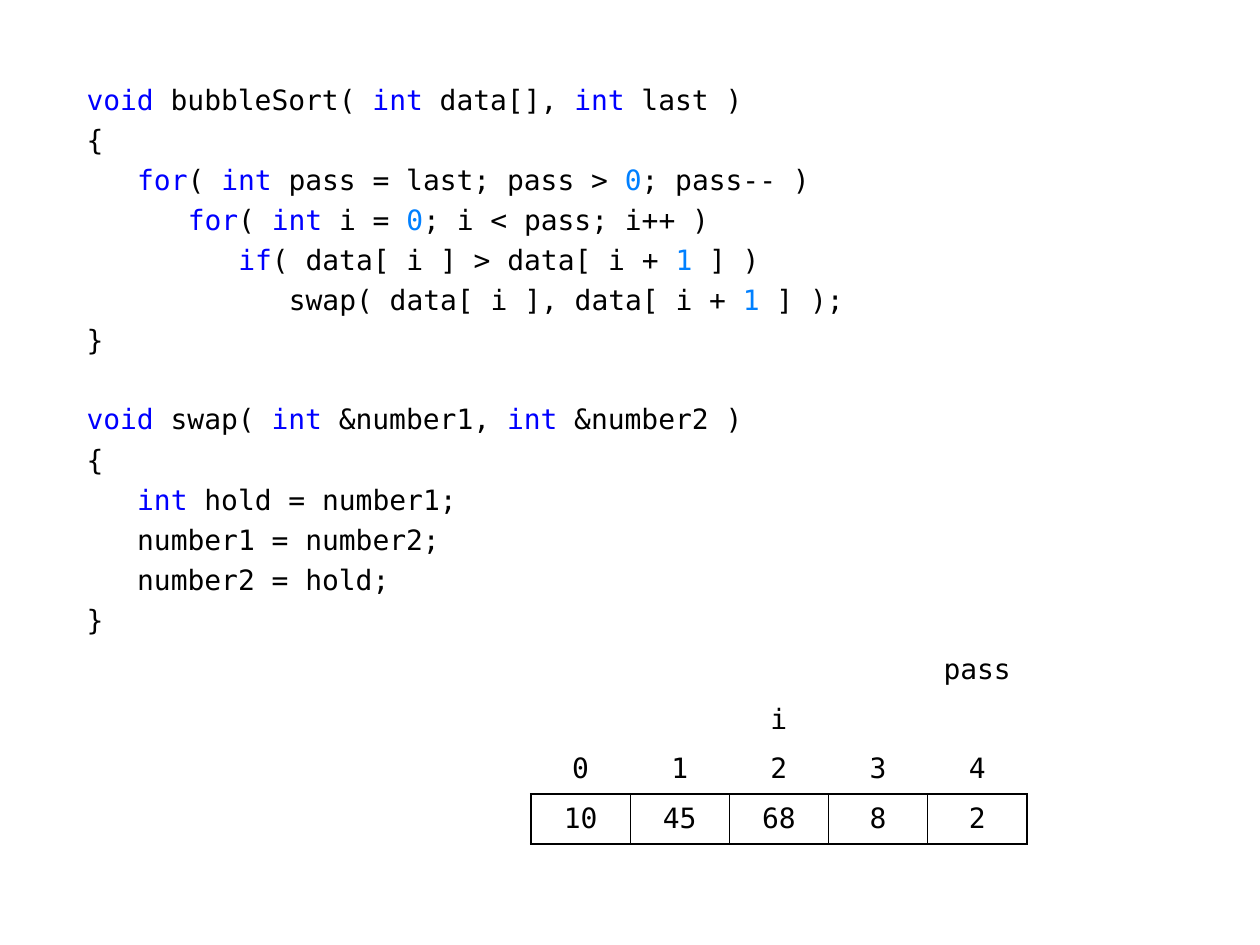
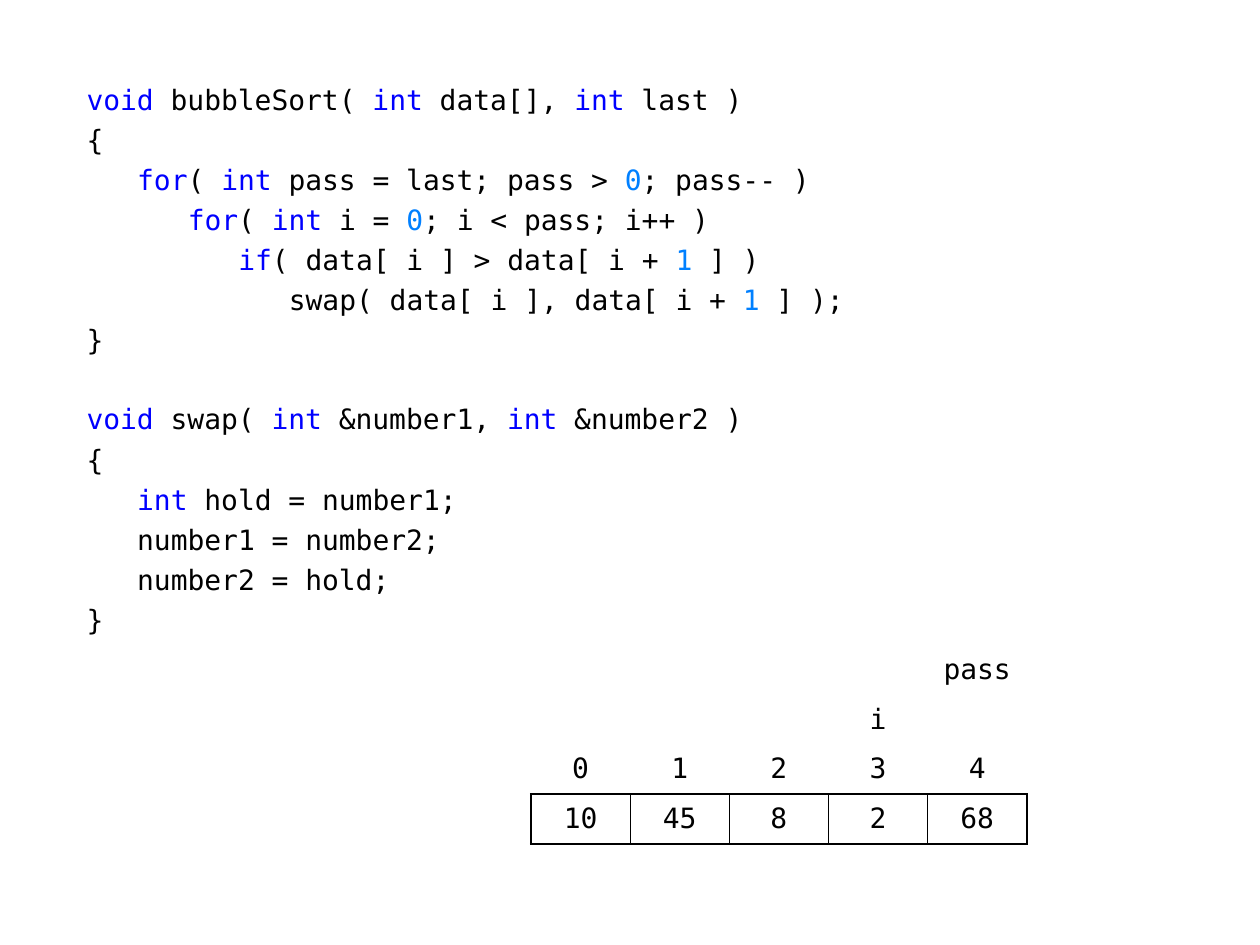
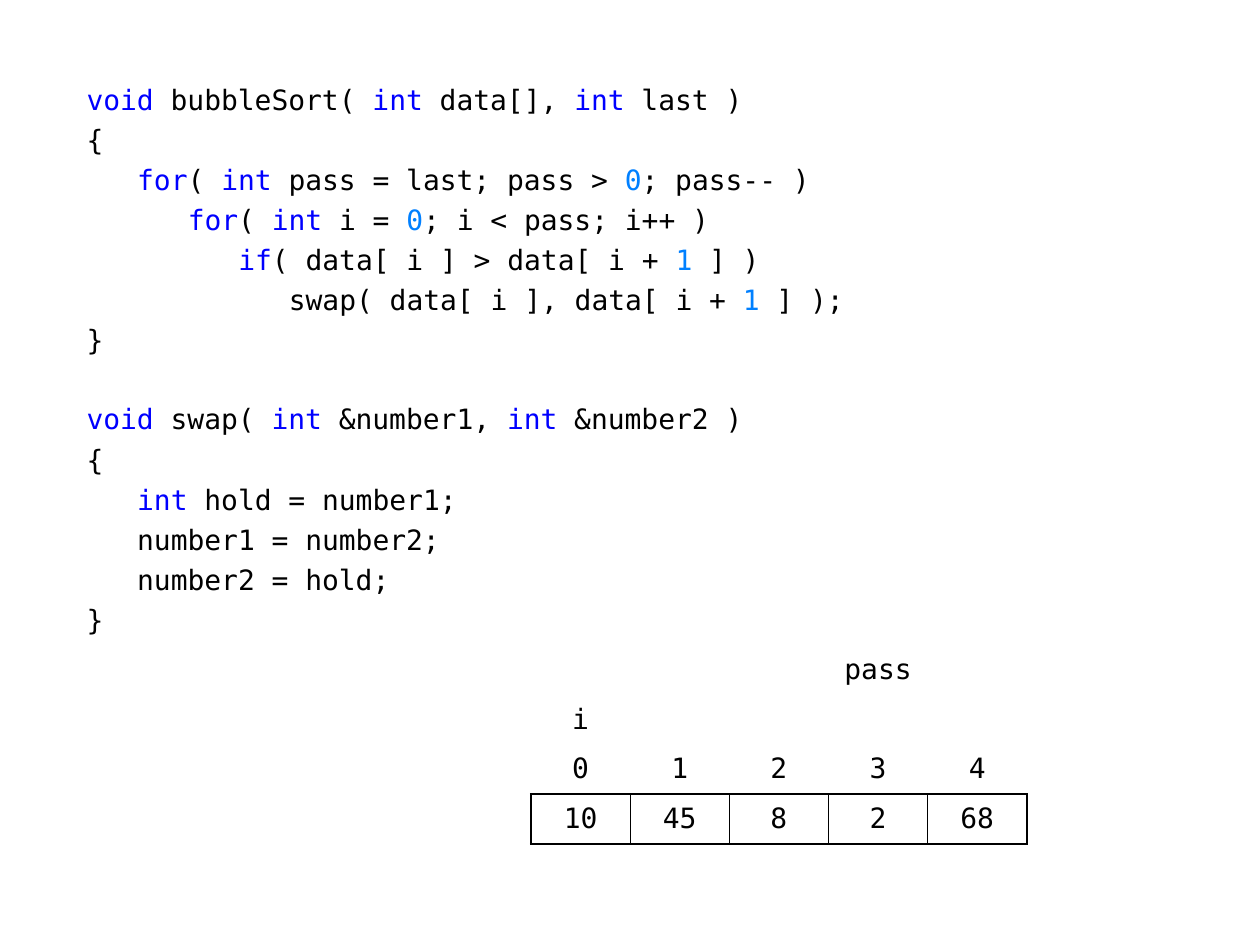
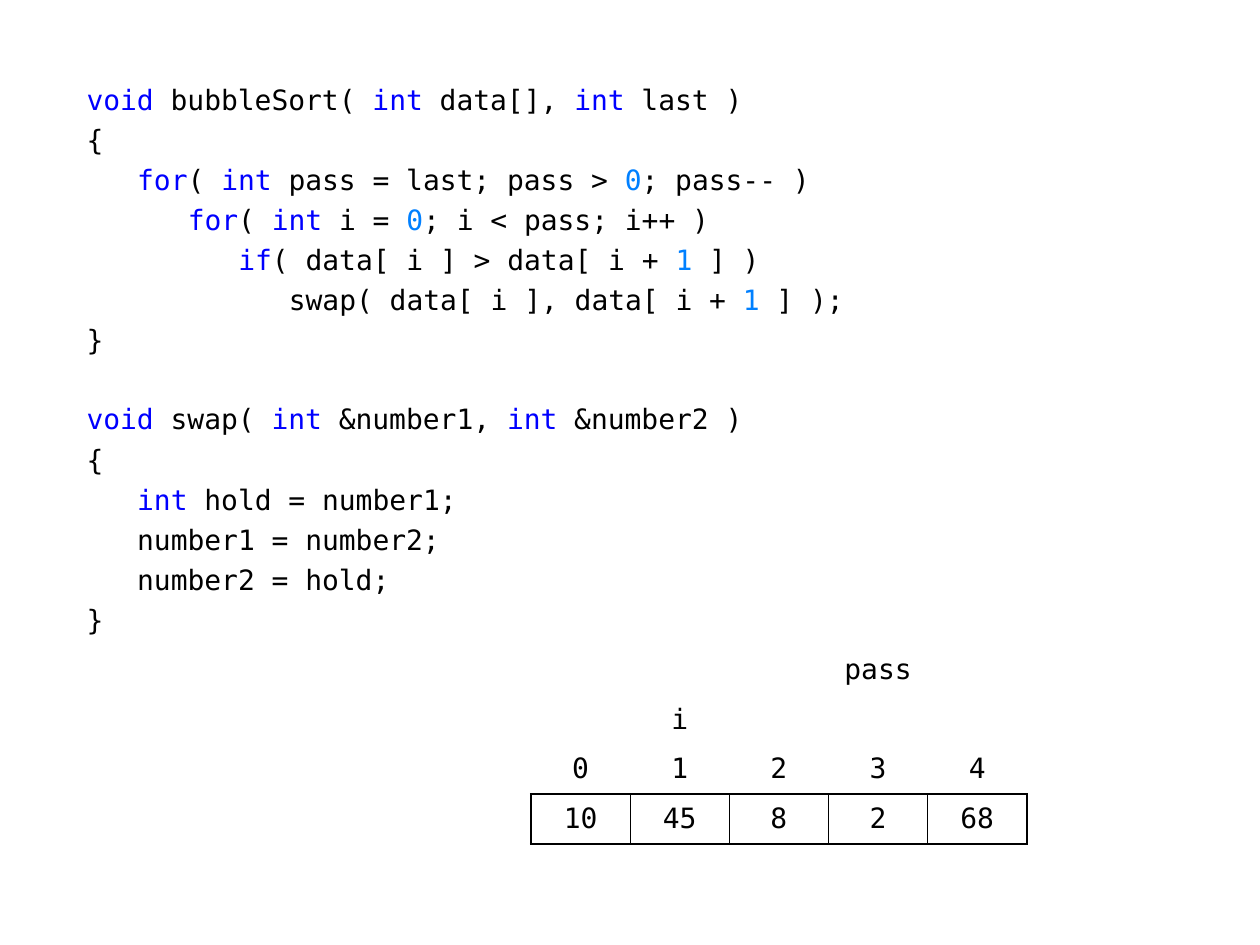
from dataclasses import dataclass
from itertools import groupby

from lxml import etree
from pptx import Presentation
from pptx.dml.color import RGBColor
from pptx.enum.text import MSO_ANCHOR, MSO_AUTO_SIZE, PP_ALIGN
from pptx.oxml.ns import qn
from pptx.util import Pt

CENTER = PP_ALIGN.CENTER
MIDDLE = MSO_ANCHOR.MIDDLE
NO_AUTOFIT = MSO_AUTO_SIZE.NONE

# Content: code as (indent depth, text); an empty text is a blank line
CODE = [
    (0, "void bubbleSort( int data[], int last )"),
    (0, "{"),
    (1, "for( int pass = last; pass > 0; pass-- )"),
    (2, "for( int i = 0; i < pass; i++ )"),
    (3, "if( data[ i ] > data[ i + 1 ] )"),
    (4, "swap( data[ i ], data[ i + 1 ] );"),
    (0, "}"),
    (0, ""),
    (0, "void swap( int &number1, int &number2 )"),
    (0, "{"),
    (1, "int hold = number1;"),
    (1, "number1 = number2;"),
    (1, "number2 = hold;"),
    (0, "}"),
]
KEYWORDS = {"void", "int", "for", "if"}

# One slide per step: position of pass, position of i, array values
STEPS = [
    (4, 2, [10, 45, 68, 8, 2]),
    (4, 3, [10, 45, 8, 2, 68]),
    (3, 0, [10, 45, 8, 2, 68]),
    (3, 1, [10, 45, 8, 2, 68]),
]


@dataclass(frozen=True)
class Theme:
    font: str = "DejaVu Sans Mono"
    size: float = 16
    text: str = "000000"
    keyword: str = "0000FF"
    number: str = "0080FF"
    paper: str = "FFFFFF"
    outer_line: float = 1.5
    inner_line: float = 0.75
    line_height: float = 18.62
    line_gap: float = 3.72


THEME = Theme()
PX = 914400 // 126
SLIDE = (1260, 945)
CODE_BOX = (74, 76, 1111, 576)
TABLE_BOX = (531, 646, 496, 198)
INDENT = Pt(28.9)  # three characters
NO_GRID_STYLE = "{2D5ABB26-0587-4C30-8999-92F81FD0307C}"


def emu(box):
    return [v * PX for v in box]


def style(p):
    p.font.name = THEME.font
    p.font.size = Pt(THEME.size)
    p.font.color.rgb = RGBColor.from_string(THEME.text)


# Code listing
def word_color(word):
    if word in KEYWORDS:
        return THEME.keyword
    return THEME.number if word.isdigit() else THEME.text


def add_code(slide):
    sp = slide.placeholders[1]
    sp.left, sp.top, sp.width, sp.height = emu(CODE_BOX)
    tf = sp.text_frame
    tf.word_wrap = True
    tf.auto_size = NO_AUTOFIT
    p, gap = tf.paragraphs[0], THEME.line_gap
    for n, (depth, line) in enumerate(CODE):
        if not line:
            gap += THEME.line_height + THEME.line_gap
            continue
        if n:
            p = tf.add_paragraph()
        p.space_before = Pt(gap)
        gap = THEME.line_gap
        style(p)
        pPr = p._p.get_or_add_pPr()
        pPr.set("marL", str(depth * INDENT))
        pPr.set("indent", "0")
        pPr.insert_element_before(etree.Element(qn("a:buNone")), "a:tabLst", "a:defRPr", "a:extLst")
        words = ["".join(chars) for _, chars in groupby(line, str.isalnum)]
        for color, part in groupby(words, word_color):
            r = p.add_run()
            r.text = "".join(part)
            if color != THEME.text:
                r.font.color.rgb = RGBColor.from_string(color)


# Array table
def set_border(cell, side, width):
    ln = etree.SubElement(cell._tc.get_or_add_tcPr(), qn("a:ln" + side), w=str(Pt(width)))
    fill = etree.SubElement(ln, qn("a:solidFill"))
    etree.SubElement(fill, qn("a:srgbClr"), val=THEME.text)


def add_array(slide, pass_at, i_at, values):
    cols = range(len(values))
    rows = [
        ["pass" if c == pass_at else "" for c in cols],
        ["i" if c == i_at else "" for c in cols],
        list(cols),
        values,
    ]
    left, top, width, height = emu(TABLE_BOX)
    table = slide.shapes.add_table(len(rows), len(cols), left, top, width, height).table
    table.first_row = table.horz_banding = False
    table._tbl.tblPr.find(qn("a:tableStyleId")).text = NO_GRID_STYLE
    index_row, value_row = len(rows) - 2, len(rows) - 1
    outer, inner = THEME.outer_line, THEME.inner_line
    for y, row in enumerate(rows):
        for x, value in enumerate(row):
            cell = table.cell(y, x)
            cell.vertical_anchor = MIDDLE
            cell.margin_left = cell.margin_right = (5 if value == "pass" else 13) * PX
            cell.margin_top, cell.margin_bottom = 5 * PX, 6 * PX
            p = cell.text_frame.paragraphs[0]
            p.alignment = CENTER
            style(p)
            if value != "":
                p.add_run().text = str(value)
            if y == value_row:
                set_border(cell, "L", outer if x == 0 else inner)
                set_border(cell, "R", outer if x == cols[-1] else inner)
                set_border(cell, "T", outer)
            if y >= index_row:
                set_border(cell, "B", outer)
            if y == value_row:
                cell.fill.solid()
                cell.fill.fore_color.rgb = RGBColor.from_string(THEME.paper)
            else:
                cell.fill.background()


# Slides
prs = Presentation()
prs.slide_width, prs.slide_height = emu(SLIDE)
for step in STEPS:
    slide = prs.slides.add_slide(prs.slide_layouts[1])
    title = slide.shapes.title._element
    title.getparent().remove(title)
    add_code(slide)
    add_array(slide, *step)
prs.save("out.pptx")
